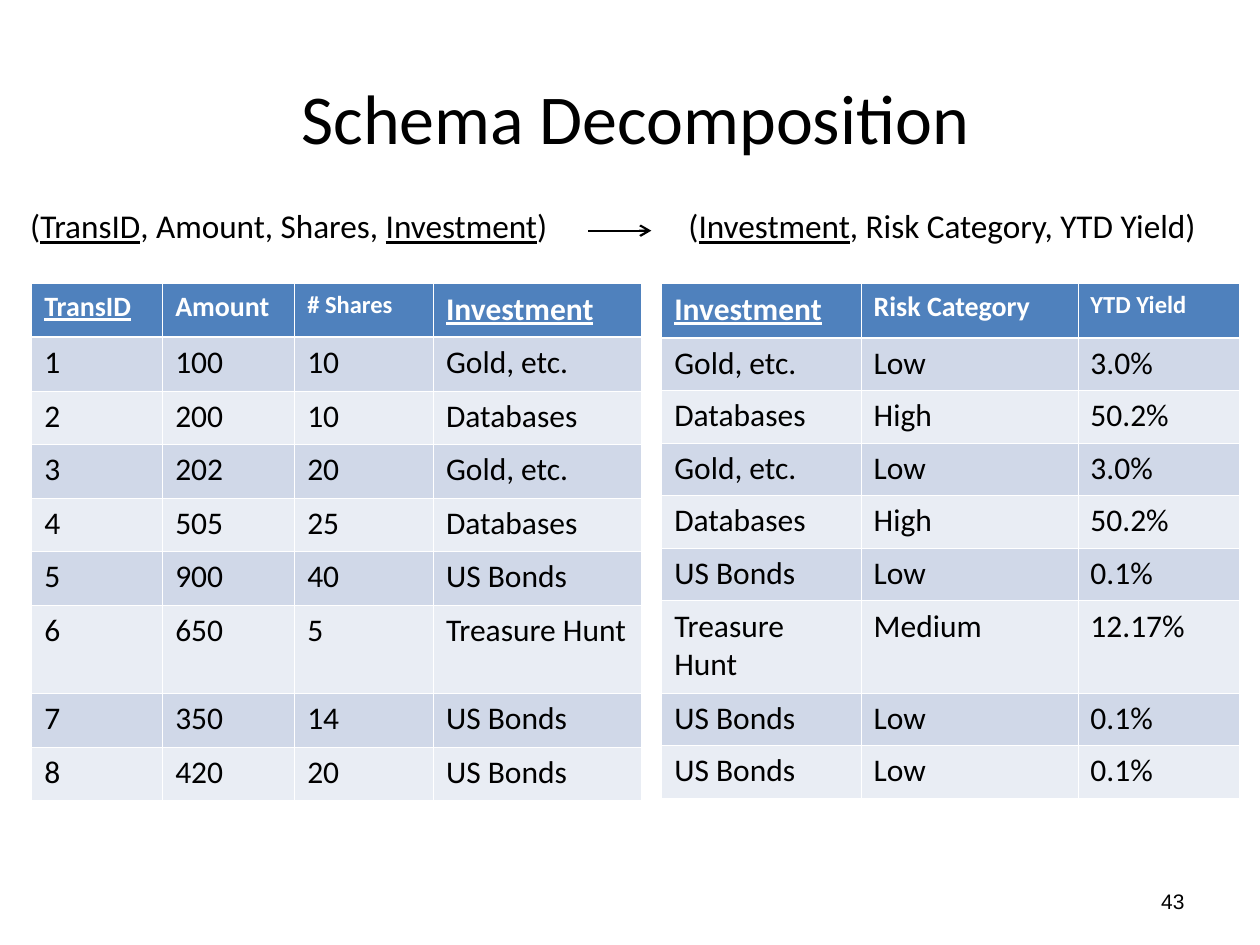
from lxml import etree
from pptx import Presentation
from pptx import util as u
from pptx.dml.color import RGBColor
from pptx.enum import shapes, text
from pptx.oxml import ns

# Content: a run is (text, underlined); a heading is (text, size, underlined)
TITLE = "Schema Decomposition"
PAGE = "43"
SCHEMAS = [("(", False), ("TransID", True), (", Amount, Shares, ", False),
           ("Investment", True), (")\t(", False), ("Investment", True),
           (", Risk Category, YTD Yield)", False)]
TRANSACTIONS = {
    "left": 0.64, "cols": [2.64, 2.66, 2.8, 4.18],
    "head_h": 1.08, "row_h": 1.08, "tall_h": 1.78,
    "head": [("TransID", 16, True), ("Amount", 16, False),
             ("# Shares", 14, False), ("Investment", 18, True)],
    "rows": [("1", "100", "10", "Gold, etc."),
             ("2", "200", "10", "Databases"),
             ("3", "202", "20", "Gold, etc."),
             ("4", "505", "25", "Databases"),
             ("5", "900", "40", "US Bonds"),
             ("6", "650", "5", "Treasure Hunt"),
             ("7", "350", "14", "US Bonds"),
             ("8", "420", "20", "US Bonds")],
}
INVESTMENTS = {
    "left": 13.34, "cols": [4.02, 4.37, 3.25],
    "head_h": 1.09, "row_h": 1.06, "tall_h": 1.86,
    "head": [("Investment", 18, True), ("Risk Category", 16, False),
             ("YTD Yield", 14, False)],
    "rows": [("Gold, etc.", "Low", "3.0%"),
             ("Databases", "High", "50.2%"),
             ("Gold, etc.", "Low", "3.0%"),
             ("Databases", "High", "50.2%"),
             ("US Bonds", "Low", "0.1%"),
             ("Treasure Hunt", "Medium", "12.17%"),
             ("US Bonds", "Low", "0.1%"),
             ("US Bonds", "Low", "0.1%")],
}
TABLE_TOP = 5.72
TALL_ROW = 6
BLACK, WHITE, HEAD_FILL = "000000", "FFFFFF", "4F81BD"
BANDS = ["E9EDF4", "D0D8E8"]


def rgb(code):
    return RGBColor.from_string(code)


def add_run(p, words, size, color=BLACK, font="Calibri", bold=False, underline=False):
    r = p.add_run()
    r.text = words
    f = r.font
    f.name, f.size, f.bold, f.underline = font, u.Pt(size), bold, underline
    f.color.rgb = rgb(color)


def add_box(s, left, top, width, height, anchor, align):
    tf = s.shapes.add_textbox(*map(u.Cm, (left, top, width, height))).text_frame
    tf.word_wrap = True
    tf.vertical_anchor = anchor
    tf.paragraphs[0].alignment = align
    return tf


def set_borders(cell, top, bottom):
    pr = cell._tc.get_or_add_tcPr()
    widths = [("L", 0.45), ("R", 0.45), ("T", top), ("B", bottom)]
    for i, (side, width) in enumerate(widths):
        ln = etree.Element(ns.qn(f"a:ln{side}"), w=str(u.Pt(width)))
        fill = etree.SubElement(ln, ns.qn("a:solidFill"))
        etree.SubElement(fill, ns.qn("a:srgbClr"), val=WHITE)
        pr.insert(i, ln)


def add_table(s, data):
    heights = [data["head_h"]] + [data["row_h"]] * len(data["rows"])
    heights[TALL_ROW] = data["tall_h"]
    grid = [data["head"]] + [[(v, 18, False) for v in row] for row in data["rows"]]
    table = s.shapes.add_table(
        len(grid), len(data["cols"]), u.Cm(data["left"]), u.Cm(TABLE_TOP),
        u.Cm(sum(data["cols"])), u.Cm(sum(heights))).table
    for col, width in zip(table.columns, data["cols"]):
        col.width = u.Cm(width)
    for i, (row, height) in enumerate(zip(grid, heights)):
        table.rows[i].height = u.Cm(height)
        head = i == 0
        for j, (words, size, underline) in enumerate(row):
            cell = table.cell(i, j)
            cell.fill.solid()
            cell.fill.fore_color.rgb = rgb(HEAD_FILL if head else BANDS[i % 2])
            set_borders(cell, 1.47 if i == 1 else 0.45, 1.47 if head else 0.45)
            add_run(cell.text_frame.paragraphs[0], words, size,
                    WHITE if head else BLACK, bold=head, underline=underline)


prs = Presentation()
prs.slide_width, prs.slide_height = u.Cm(25.4), u.Cm(19.05)
s = prs.slides.add_slide(prs.slide_layouts[6])
ANCHOR, ALIGN = text.MSO_ANCHOR, text.PP_ALIGN

# Title and page number
tf = add_box(s, 0.64, 0.76, 24.33, 3.18, ANCHOR.MIDDLE, ALIGN.CENTER)
add_run(tf.paragraphs[0], TITLE, 40)
tf = add_box(s, 18.21, 17.65, 5.92, 1.02, ANCHOR.MIDDLE, ALIGN.RIGHT)
add_run(tf.paragraphs[0], PAGE, 12, font="Arial")

# Both schemas on one line, the second at a tab stop
tf = add_box(s, 0.2, 4.02, 25.2, 1.06, ANCHOR.TOP, ALIGN.LEFT)
tf.margin_left = u.Cm(0.41)
p = tf.paragraphs[0]
tabs = etree.SubElement(p._p.get_or_add_pPr(), ns.qn("a:tabLst"))
etree.SubElement(tabs, ns.qn("a:tab"), pos=str(u.Cm(13.27)), algn="l")
for words, underline in SCHEMAS:
    add_run(p, words, 19, underline=underline)

# Tables
for data in (TRANSACTIONS, INVESTMENTS):
    add_table(s, data)

# Arrow between the schemas
sp = s.shapes.add_connector(shapes.MSO_CONNECTOR.STRAIGHT,
                            u.Cm(11.86), u.Cm(4.65), u.Cm(13.13), u.Cm(4.65))
sp.line.color.rgb = rgb(BLACK)
sp.line.width = u.Pt(1.25)
etree.SubElement(sp.line._get_or_add_ln(), ns.qn("a:tailEnd"), type="arrow")
etree.SubElement(sp._element.spPr, ns.qn("a:effectLst"))

prs.save("out.pptx")
